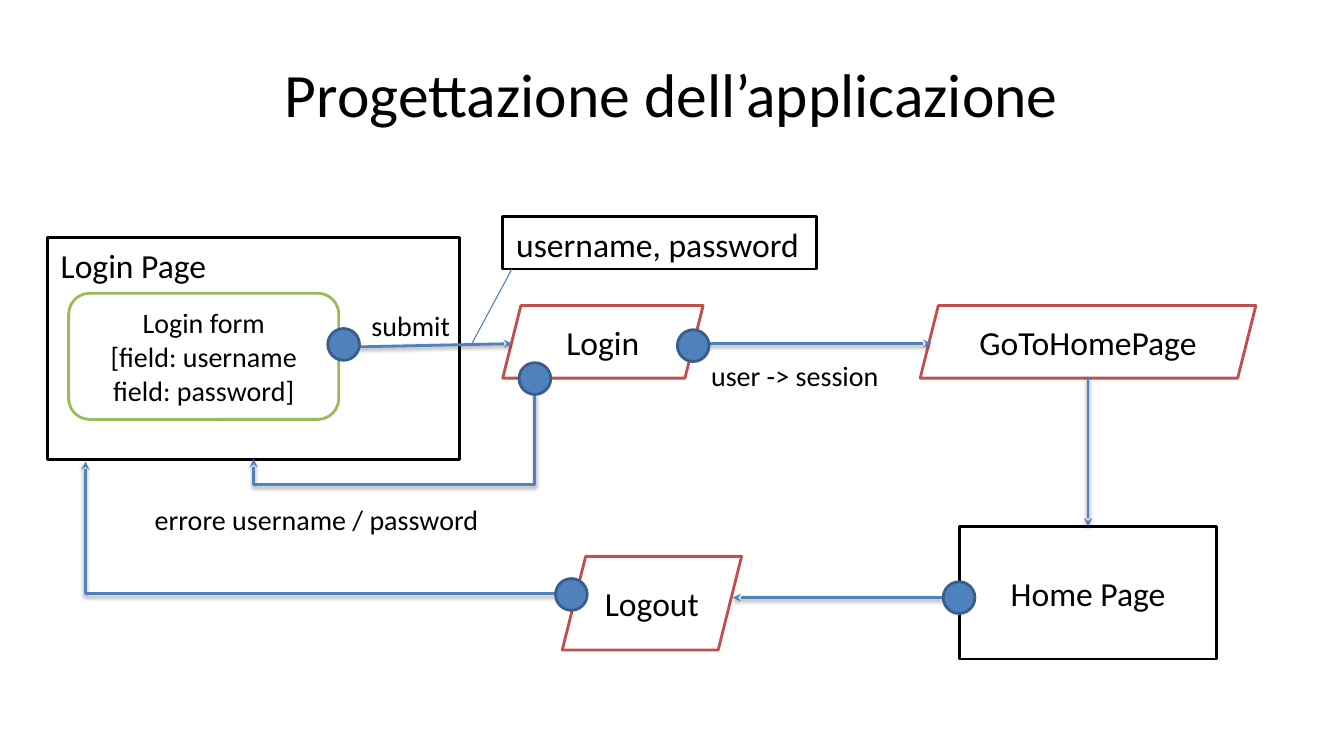
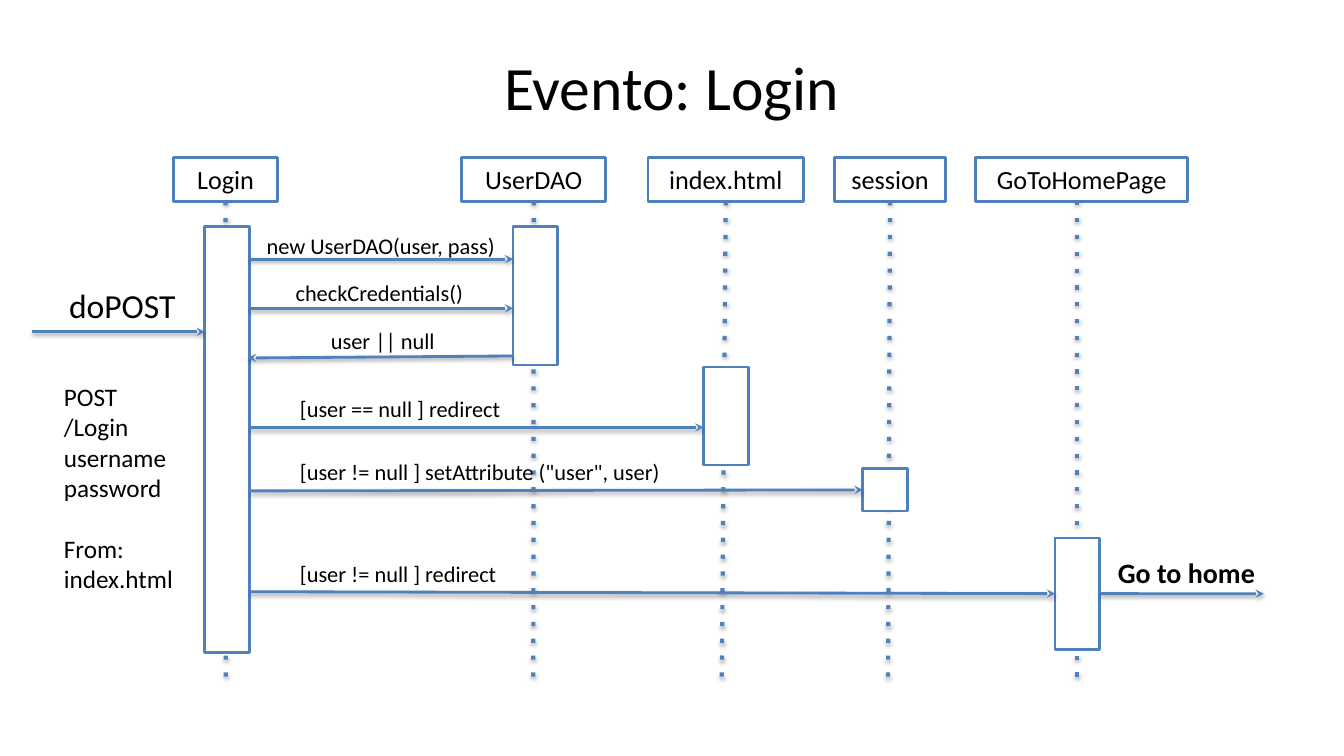
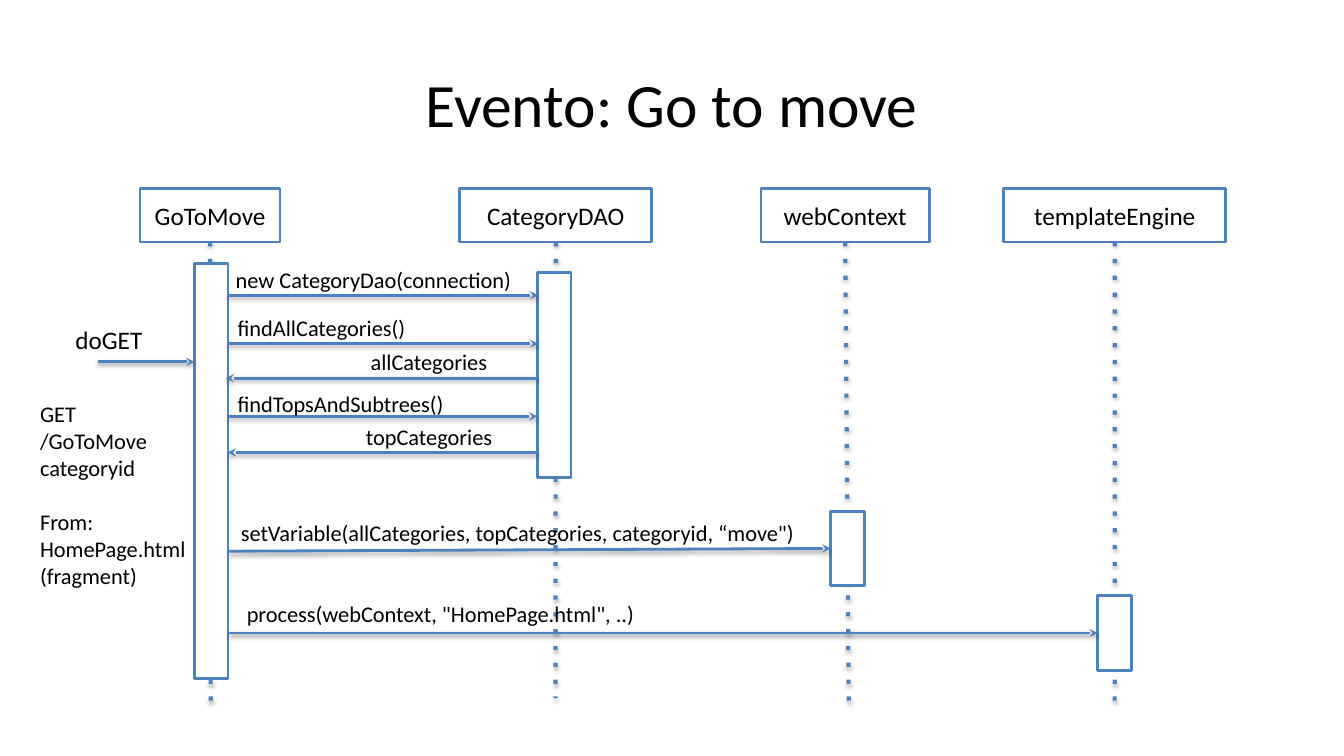
from dataclasses import dataclass
from typing import Optional

from lxml import etree
from pptx import Presentation
from pptx import util as u
from pptx.dml import color
from pptx.enum import shapes, text
from pptx.oxml import ns

FONT = "Calibri"
COLORS = {
    "text": "000000",
    "paper": "FFFFFF",
    "page": "000000",
    "form": "9BBB59",
    "action": "C0504D",
    "flow": "4F81BD",
    "event_edge": "395E89",
    "note_line": "4A7DBA",
}
INSET = 0.25
LABEL_HEIGHT = 1
EVENT_SIZE = 0.8
RECT = shapes.MSO_SHAPE.RECTANGLE
ROUNDED = shapes.MSO_SHAPE.ROUNDED_RECTANGLE
SLANTED = shapes.MSO_SHAPE.PARALLELOGRAM
CIRCLE = shapes.MSO_SHAPE.OVAL
LEFT, CENTER = text.PP_ALIGN.LEFT, text.PP_ALIGN.CENTER
TOP, MIDDLE = text.MSO_ANCHOR.TOP, text.MSO_ANCHOR.MIDDLE


# All positions and lengths below are centimetres, text sizes are points.
@dataclass
class Box:
    wording: str
    left: float
    top: float
    width: float
    height: float
    edge: str = "flow"
    size: float = 24
    outline: int = RECT
    fill: str = "paper"
    align: int = CENTER
    anchor: int = MIDDLE
    inset: float = INSET


@dataclass
class Label:
    wording: str
    left: float
    top: float
    width: float
    size: float = 16
    bold: bool = False


@dataclass
class Arrow:
    x1: float
    y1: float
    x2: float
    y2: float


@dataclass
class Elbow:
    left: float
    top: float
    width: float
    height: float
    rotation: int
    bend: float


@dataclass
class Lifeline:
    name: str
    left: float
    width: float
    foot_x: float
    foot_y: float
    bar_left: float
    bar_top: float
    bar_height: float
    stem_x: Optional[float] = None  # None: hangs from the middle of the head


@dataclass
class Message:
    label: Label
    arrow: Arrow
    sender: Optional[int] = None  # lifeline whose bar is left at mid-height
    receiver: Optional[int] = None  # lifeline whose bar is met at mid-height


# Shared drawing parts
def rgb(name: str) -> color.RGBColor:
    return color.RGBColor.from_string(COLORS[name])


def write(shape, wording: str, size: float, align=LEFT, anchor=TOP,
          inset: float = INSET, bold: bool = False) -> None:
    frame = shape.text_frame
    frame.word_wrap = True
    frame.vertical_anchor = anchor
    frame.margin_left = frame.margin_right = u.Cm(inset)
    frame.margin_top = frame.margin_bottom = u.Cm(inset / 2)
    frame.text = wording
    for paragraph in frame.paragraphs:
        paragraph.alignment = align
        for run in paragraph.runs:
            run.font.name = FONT
            run.font.size = u.Pt(size)
            run.font.bold = bold
            run.font.color.rgb = rgb("text")


def draw_label(slide, label: Label, height: float = LABEL_HEIGHT):
    area = slide.shapes.add_textbox(u.Cm(label.left), u.Cm(label.top),
                                    u.Cm(label.width), u.Cm(height))
    write(area, label.wording, label.size, bold=label.bold)
    return area


def draw_title(slide, wording: str, top: float, height: float) -> None:
    area = slide.shapes.add_textbox(u.Cm(1.69), u.Cm(top), u.Cm(30.48), u.Cm(height))
    write(area, wording, 44, CENTER, MIDDLE)


def draw_box(slide, box: Box):
    shape = slide.shapes.add_shape(box.outline, u.Cm(box.left), u.Cm(box.top),
                                   u.Cm(box.width), u.Cm(box.height))
    shape.shadow.inherit = False
    shape.fill.solid()
    shape.fill.fore_color.rgb = rgb(box.fill)
    shape.line.color.rgb = rgb(box.edge)
    shape.line.width = u.Pt(2)
    if box.wording:
        write(shape, box.wording, box.size, box.align, box.anchor, box.inset)
    return shape


def draw_request(slide, label: Label, gap: float) -> None:
    """Request parameters, with a gap before the "From:" paragraph."""
    area = draw_label(slide, label, 5)
    for paragraph in area.text_frame.paragraphs:
        if paragraph.text.startswith("From:"):
            paragraph.space_before = u.Pt(gap)


def style_line(line, edge: str = "flow", width: float = 2, dotted: bool = False,
               arrow: bool = True, shadow: int = 38) -> None:
    line.line.color.rgb = rgb(edge)
    line.line.width = u.Pt(width)
    stroke = line.line._get_or_add_ln()
    if dotted:
        etree.SubElement(stroke, ns.qn("a:prstDash"), val="dot")
    if arrow:
        etree.SubElement(stroke, ns.qn("a:tailEnd"), type="stealth")
    effects = etree.SubElement(line._element.spPr, ns.qn("a:effectLst"))
    if shadow:
        cast = etree.SubElement(effects, ns.qn("a:outerShdw"), blurRad=str(u.Pt(3.1)),
                                dist=str(u.Pt(1.6)), dir="5400000", rotWithShape="0")
        black = etree.SubElement(cast, ns.qn("a:srgbClr"), val=COLORS["text"])
        etree.SubElement(black, ns.qn("a:alpha"), val=str(shadow * 1000))


def draw_line(slide, route: Arrow, **style):
    line = slide.shapes.add_connector(
        shapes.MSO_CONNECTOR.STRAIGHT, u.Cm(route.x1), u.Cm(route.y1),
        u.Cm(route.x2), u.Cm(route.y2))
    style_line(line, **style)
    return line


def draw_elbow(slide, elbow: Elbow) -> None:
    line = slide.shapes.add_connector(
        shapes.MSO_CONNECTOR.ELBOW, u.Cm(elbow.left), u.Cm(elbow.top),
        u.Cm(elbow.left + elbow.width), u.Cm(elbow.top + elbow.height))
    properties = line._element.spPr
    properties.find(ns.qn("a:xfrm")).set("rot", str(elbow.rotation * 60000))
    guides = properties.find(ns.qn("a:prstGeom")).find(ns.qn("a:avLst"))
    etree.SubElement(guides, ns.qn("a:gd"), name="adj1",
                     fmla=f"val {round(elbow.bend * 1000)}")
    style_line(line)


# Sequence diagrams
def draw_lifeline(slide, life: Lifeline, head_top: float, head_height: float,
                  head_size: float, bar_width: float):
    head = draw_box(slide, Box(life.name, life.left, head_top, life.width,
                               head_height, size=head_size))
    stem_x = life.foot_x if life.stem_x is None else life.stem_x
    stem = draw_line(slide, Arrow(stem_x, head_top + head_height, life.foot_x, life.foot_y),
                     width=3, dotted=True, arrow=False, shadow=35)
    if life.stem_x is None:
        stem.begin_connect(head, 2)
    return draw_box(slide, Box("", life.bar_left, life.bar_top, bar_width, life.bar_height))


def draw_sequence(slide, lifelines: list[Lifeline], messages: list[Message],
                  head_top: float, head_height: float, head_size: float,
                  bar_width: float) -> None:
    bars = [draw_lifeline(slide, life, head_top, head_height, head_size, bar_width)
            for life in lifelines]
    for message in messages:
        line = draw_line(slide, message.arrow)
        if message.sender is not None:
            line.begin_connect(bars[message.sender], 3)
        if message.receiver is not None:
            line.end_connect(bars[message.receiver], 1)
        draw_label(slide, message.label)


# Slide 1: application design
def build_design(slide) -> None:
    draw_title(slide, "Progettazione dell’applicazione", 0.76, 3.18)
    draw_box(slide, Box("Login Page", 1.19, 5.99, 10.39, 5.59, "page",
                        align=LEFT, anchor=TOP, inset=0.34))
    draw_box(slide, Box("Login form\n[field: username\nfield: password]",
                        1.73, 7.39, 6.81, 3.18, "form", 20, ROUNDED))
    draw_box(slide, Box("username, password", 12.67, 5.46, 7.9, 1.32, "page",
                        align=LEFT, anchor=TOP, inset=0.34))
    home_page = draw_box(slide, Box("Home Page", 24.18, 13.26, 6.48, 3.35, "page"))
    for action in (
        Box("Login", 12.67, 7.7, 5.05, 1.83, "action", outline=SLANTED),
        Box("GoToHomePage", 23.19, 7.7, 8.46, 1.83, "action", outline=SLANTED),
        Box("Logout", 14.17, 14.02, 4.52, 2.36, "action", outline=SLANTED),
    ):
        draw_box(slide, action)

    # Flows
    draw_line(slide, Arrow(12.9, 6.78, 11.89, 8.66), edge="note_line", width=0.75,
              arrow=False, shadow=0)
    for flow in (
        Arrow(9.02, 8.74, 12.9, 8.66),
        Arrow(17.63, 8.66, 23.47, 8.66),
        Arrow(23.77, 15.06, 18.47, 15.06),
    ):
        draw_line(slide, flow)
    draw_line(slide, Arrow(27.42, 9.5, 27.42, 13.26)).end_connect(home_page, 0)
    draw_elbow(slide, Elbow(9.12, 7.21, 1.63, 7.09, 90, 138.9))
    draw_elbow(slide, Elbow(2.16, 11.63, 12.17, 3.33, 180, 100.1))

    # Events
    for left, top in ((8.26, 8.28), (17.07, 8.31), (13.08, 9.14),
                      (23.77, 14.66), (14, 14.58)):
        draw_box(slide, Box("", left, top, EVENT_SIZE, EVENT_SIZE, "event_edge",
                            outline=CIRCLE, fill="flow"))
    for label in (
        Label("submit", 9.11, 7.66, 2.9, 20),
        Label("errore username / password", 3.65, 12.54, 10.56, 20),
        Label("user -> session", 17.67, 8.9, 5.56, 20),
    ):
        draw_label(slide, label)


# Slide 2: login event
def build_login(slide) -> None:
    draw_title(slide, "Evento: Login", 0.76, 2.79)
    lifelines = [
        Lifeline("Login", 4.37, 2.63, 5.69, 17.27, 5.16, 5.71, 10.74),
        Lifeline("UserDAO", 11.63, 3.64, 13.44, 17.27, 12.93, 5.71, 3.49),
        Lifeline("index.html", 16.33, 3.92, 18.19, 17.07, 17.73, 9.25, 2.47),
        Lifeline("session", 21.03, 2.8, 22.38, 17.07, 21.74, 11.81, 1.07),
        Lifeline("GoToHomePage", 24.59, 5.34, 27.15, 17.27, 26.59, 13.56, 2.8, 27.15),
    ]
    messages = [
        Message(Label("doPOST", 1.49, 7.05, 3.22, 24), Arrow(0.81, 8.36, 5.16, 8.36)),
        Message(Label("new UserDAO(user, pass)", 6.47, 5.73, 7.44),
                Arrow(6.3, 6.53, 12.93, 6.53)),
        Message(Label("checkCredentials()", 7.2, 6.9, 5.76), Arrow(6.3, 7.77, 12.93, 7.77)),
        Message(Label("user || null", 8.09, 8.12, 4.04), Arrow(12.93, 8.97, 6.25, 9.02)),
        Message(Label("[user == null ] redirect", 7.31, 9.84, 6.5),
                Arrow(6.3, 10.77, 17.73, 10.77)),
        Message(Label('[user != null ] setAttribute ("user", user)', 7.31, 11.42, 11.35),
                Arrow(6.3, 12.37, 21.74, 12.34), receiver=3),
        Message(Label("[user != null ] redirect", 7.31, 13.98, 6.5),
                Arrow(6.3, 14.91, 26.59, 14.96), receiver=4),
        Message(Label("Go to home", 27.92, 13.88, 5, 20, True),
                Arrow(27.72, 14.96, 31.85, 14.96), sender=4),
    ]
    draw_sequence(slide, lifelines, messages, 3.97, 1.1, 18.7, 1.13)
    draw_request(slide, Label("POST\n/Login\nusername\npassword\nFrom: index.html",
                              1.36, 9.49, 4.29, 18), 22)


# Slide 3: go to move event
def build_move(slide) -> None:
    draw_title(slide, "Evento: Go to move", 1.4, 2.39)
    lifelines = [
        Lifeline("GoToMove", 3.53, 3.53, 5.31, 17.78, 4.9, 6.65, 10.44),
        Lifeline("CategoryDAO", 11.58, 4.85, 14, 17.6, 13.54, 6.86, 5.18),
        Lifeline("webContext", 19.18, 4.24, 21.39, 17.78, 20.93, 12.88, 1.88),
        Lifeline("templateEngine", 25.3, 5.59, 28.09, 17.78, 27.66, 15.01, 1.88),
    ]
    messages = [
        Message(Label("doGET", 1.65, 8.05, 2.54, 18), Arrow(2.46, 9.12, 4.9, 9.12)),
        Message(Label("new CategoryDao(connection)", 5.69, 6.58, 8.69),
                Arrow(5.74, 7.44, 13.56, 7.44)),
        Message(Label("findAllCategories()", 5.74, 7.8, 7.39), Arrow(5.74, 8.66, 13.56, 8.66)),
        Message(Label("allCategories", 9.09, 8.66, 3.71), Arrow(13.54, 9.53, 5.69, 9.53)),
        Message(Label("findTopsAndSubtrees()", 5.74, 9.7, 8.84),
                Arrow(5.74, 10.49, 13.54, 10.49)),
        Message(Label("topCategories", 8.97, 10.54, 4.37), Arrow(13.56, 11.4, 5.74, 11.4)),
        Message(Label('setVariable(allCategories, topCategories, categoryid, “move")',
                      5.82, 12.95, 14.9), Arrow(5.74, 13.89, 20.93, 13.82), receiver=2),
        Message(Label('process(webContext, "HomePage.html", ..)', 5.97, 14.99, 11.5),
                Arrow(5.74, 15.95, 27.66, 15.95), receiver=3),
    ]
    draw_sequence(slide, lifelines, messages, 4.76, 1.34, 18, 0.85)
    draw_request(slide, Label("GET\n/GoToMove\ncategoryid\nFrom: HomePage.html\n(fragment)",
                              0.76, 9.96, 4.85), 19.5)


def main() -> None:
    deck = Presentation()
    deck.slide_width, deck.slide_height = u.Cm(33.87), u.Cm(19.05)
    for build in (build_design, build_login, build_move):
        build(deck.slides.add_slide(deck.slide_layouts[6]))
    deck.save("out.pptx")


if __name__ == "__main__":
    main()
